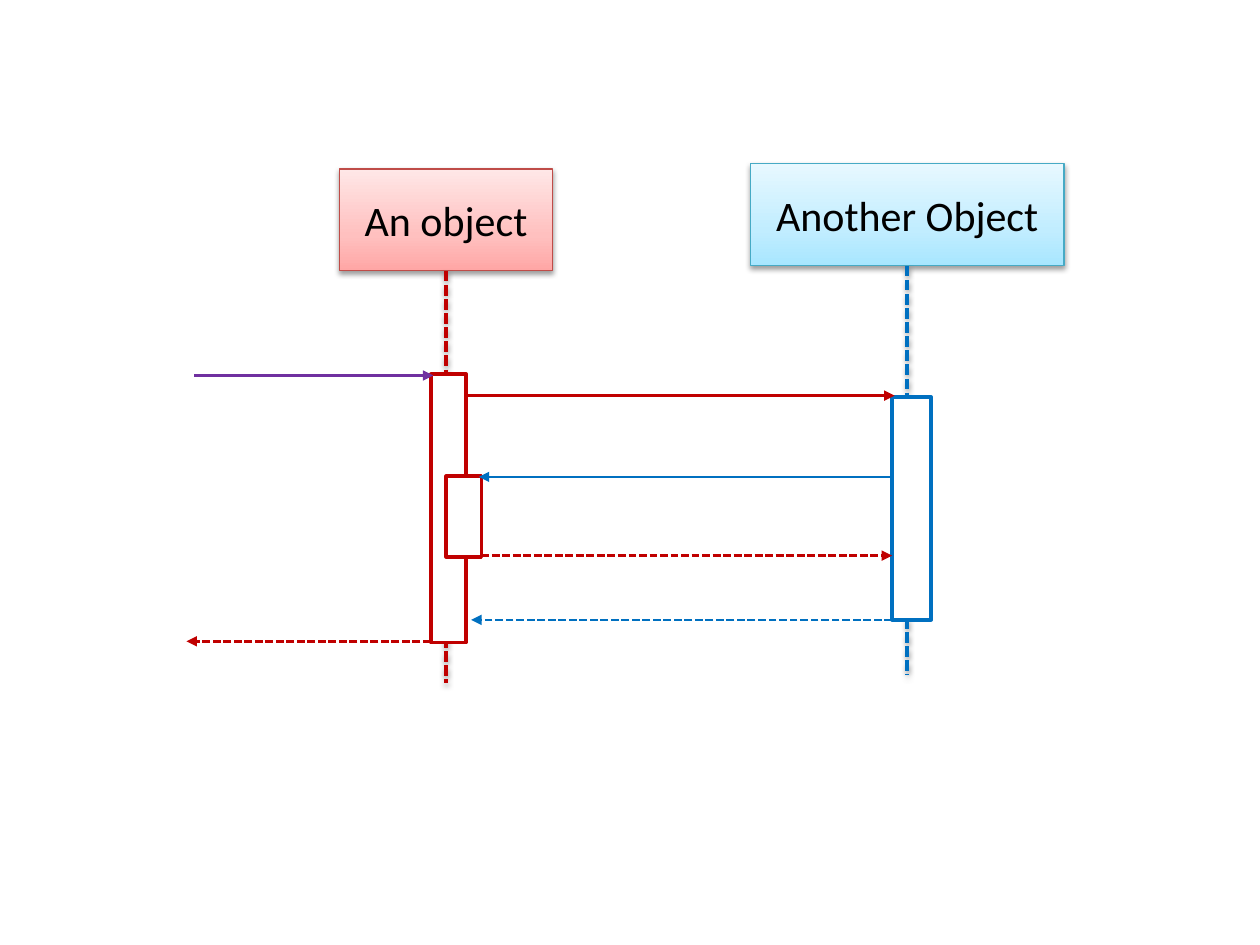
from copy import deepcopy

from pptx import Presentation
from pptx.dml.color import RGBColor
from pptx.enum.dml import MSO_LINE
from pptx.enum.shapes import MSO_CONNECTOR, MSO_SHAPE
from pptx.enum.text import MSO_ANCHOR, PP_ALIGN
from pptx.oxml import parse_xml
from pptx.oxml.ns import nsdecls, qn
from pptx.util import Inches, Pt

RED, BLUE, PURPLE = "C00000", "0070C0", "7030A0"

# Columns of the diagram, in inches
CALLER = 1.5
FIRST, SECOND = 3.54, 7.2
BAR_LEFT, BAR_RIGHT = 3.42, 3.70
NESTED_LEFT, NESTED_RIGHT = FIRST, 3.82
OTHER_LEFT, OTHER_RIGHT = 7.08, 7.39

# Name, centre, top, width, lifeline end, lifeline colour, border, gradient from the bottom
PARTICIPANTS = [
    ("Another Object", SECOND, 1.3, 2.49, 5.36, BLUE, "46AAC5", ("A7E6FF", "C1EDFF", "E7F8FF")),
    ("An object", FIRST, 1.34, 1.69, 5.42, RED, "BF4C48", ("FFA6A5", "FFC0BF", "FFE7E7")),
]
HEAD_HEIGHT = 0.81
STOPS = (0, 0.35, 1)

# Left, right, top, bottom, colour
ACTIVATIONS = [
    (BAR_LEFT, BAR_RIGHT, 2.97, 5.10, RED),
    (OTHER_LEFT, OTHER_RIGHT, 3.15, 4.92, BLUE),
    (NESTED_LEFT, NESTED_RIGHT, 3.78, 4.42, RED),
]

# Start, end, height on the page, colour, is a return
MESSAGES = [
    (CALLER + 0.04, BAR_LEFT + 0.02, 2.98, PURPLE, False),
    (BAR_RIGHT, OTHER_LEFT + 0.02, 3.14, RED, False),
    (OTHER_LEFT, NESTED_RIGHT - 0.02, 3.785, BLUE, False),
    (NESTED_RIGHT, OTHER_LEFT, 4.41, RED, True),
    (OTHER_LEFT, BAR_RIGHT + 0.04, 4.92, BLUE, True),
    (BAR_LEFT, CALLER - 0.02, 5.09, RED, True),
]


def color(value):
    return RGBColor.from_string(value)


def style_line(shape, value, width, dashed=False):
    shape.line.color.rgb = color(value)
    shape.line.width = Pt(width)
    if dashed:
        shape.line.dash_style = MSO_LINE.SQUARE_DOT


def add_effects(shape, shadow=False):
    """Give a soft shadow below the shape, or none at all."""
    inner = (f'<a:outerShdw blurRad="{Pt(3.1)}" dist="{Pt(1.6)}" dir="5400000" rotWithShape="0">'
             '<a:srgbClr val="000000"><a:alpha val="38000"/></a:srgbClr></a:outerShdw>')
    shape._element.spPr.append(
        parse_xml(f'<a:effectLst {nsdecls("a")}>{inner if shadow else ""}</a:effectLst>'))


def add_box(page, left, top, width, height):
    return page.shapes.add_shape(
        MSO_SHAPE.RECTANGLE, *map(Inches, (left, top, width, height)))


def add_line(page, x1, y1, x2, y2):
    return page.shapes.add_connector(
        MSO_CONNECTOR.STRAIGHT, *map(Inches, (x1, y1, x2, y2)))


def fill_gradient(box, values):
    box.fill.gradient()
    box.fill.gradient_angle = 90
    stop_list = box._element.spPr.find(".//" + qn("a:gsLst"))
    stop_list.append(deepcopy(stop_list[-1]))
    for stop, position, value in zip(box.fill.gradient_stops, STOPS, values):
        stop.position = position
        stop.color.rgb = color(value)


def add_participant(page, name, centre, top, width, end, life_color, border, gradient):
    box = add_box(page, centre - width / 2, top, width, HEAD_HEIGHT)
    fill_gradient(box, gradient)
    style_line(box, border, 0.75)
    add_effects(box, shadow=True)

    frame = box.text_frame
    layout = {"margin_left": Inches(0.1), "margin_right": Inches(0.1),
              "margin_top": Inches(0.2), "margin_bottom": Inches(0.2),
              "vertical_anchor": MSO_ANCHOR.MIDDLE, "word_wrap": True}
    for key, value in layout.items():
        setattr(frame, key, value)
    para = frame.paragraphs[0]
    para.alignment = PP_ALIGN.CENTER
    span = para.add_run()
    span.text = name
    for key, value in {"name": "Calibri", "size": Pt(24)}.items():
        setattr(span.font, key, value)
    span.font.color.rgb = color("000000")

    lifeline = add_line(page, centre, top + HEAD_HEIGHT, centre, end)
    lifeline.begin_connect(box, 2)
    style_line(lifeline, life_color, 2, dashed=True)
    add_effects(lifeline, shadow=True)


def add_activation(page, left, right, top, bottom, value):
    bar = add_box(page, left, top, right - left, bottom - top)
    bar.fill.solid()
    bar.fill.fore_color.rgb = color("FFFFFF")
    style_line(bar, value, 2)
    bar.shadow.inherit = False


def add_message(page, start, end, height, value, is_return):
    arrow = add_line(page, start, height, end, height)
    style_line(arrow, value, 1.5, dashed=is_return)
    arrow.line._get_or_add_ln().append(
        parse_xml(f'<a:tailEnd {nsdecls("a")} type="triangle"/>'))
    add_effects(arrow)


def main():
    deck = Presentation()
    deck.slide_width, deck.slide_height = Inches(10), Inches(7.5)
    page = deck.slides.add_slide(deck.slide_layouts[6])
    # Participants and lifelines, then activation bars, then messages
    for draw, rows in ((add_participant, PARTICIPANTS),
                       (add_activation, ACTIVATIONS),
                       (add_message, MESSAGES)):
        for row in rows:
            draw(page, *row)
    deck.save("out.pptx")


if __name__ == "__main__":
    main()
